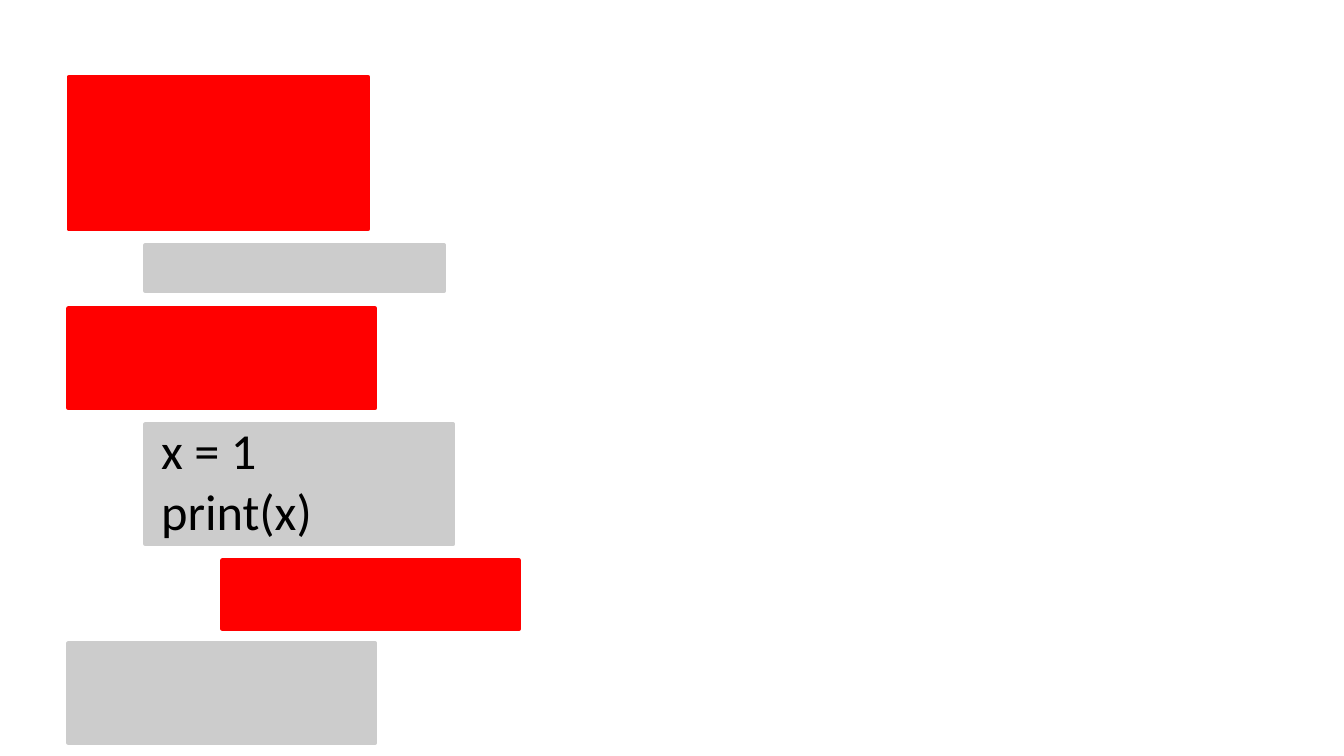
import pptx
import pptx.dml.color
import pptx.enum.shapes
import pptx.enum.text
import pptx.util

Pt = pptx.util.Pt
RED = "FF0000"
GREY = "CCCCCC"
BLACK = "000000"
LEFT_MARGIN = 49
INDENT = 55

# Code blocks from top to bottom: indent level, top, width, height, colour
BLOCKS = [
    (0, 55, 214, 108.7, RED),
    (1, 175, 213, 33, GREY),
    (0, 220.3, 219, 71.3, RED),
    (1, 303, 219.6, 85.7, GREY),
    (2, 400.3, 211.7, 49, RED),
    (0, 459.4, 219, 71.3, GREY),
]
CODE_LINES = ["x = 1", "print(x)"]


def color(hex_string):
    return pptx.dml.color.RGBColor.from_string(hex_string)


def add_block(page, level, top, width, height, fill):
    block = page.shapes.add_shape(
        pptx.enum.shapes.MSO_SHAPE.RECTANGLE,
        Pt(LEFT_MARGIN + level * INDENT), Pt(top), Pt(width), Pt(height))
    block.shadow.inherit = False
    block.fill.solid()
    block.fill.fore_color.rgb = color(fill)
    block.line.color.rgb = color(fill)
    block.line.width = Pt(3)


def add_code(page, left, top, width, height, lines):
    box = page.shapes.add_textbox(Pt(left), Pt(top), Pt(width), Pt(height))
    frame = box.text_frame
    frame.word_wrap = True
    frame.auto_size = pptx.enum.text.MSO_AUTO_SIZE.SHAPE_TO_FIT_TEXT
    for index, line in enumerate(lines):
        para = frame.add_paragraph() if index else frame.paragraphs[0]
        span = para.add_run()
        span.text = line
        span.font.name = "Calibri"
        span.font.size = Pt(36)
        span.font.color.rgb = color(BLACK)


def main():
    deck = pptx.Presentation()
    deck.slide_width, deck.slide_height = Pt(960), Pt(540)
    page = deck.slides.add_slide(deck.slide_layouts[6])

    # Nested code blocks
    for block in BLOCKS:
        add_block(page, *block)

    # Code in the fourth block
    add_code(page, 108, 296, 319, 94.3, CODE_LINES)

    deck.save("out.pptx")


if __name__ == "__main__":
    main()
